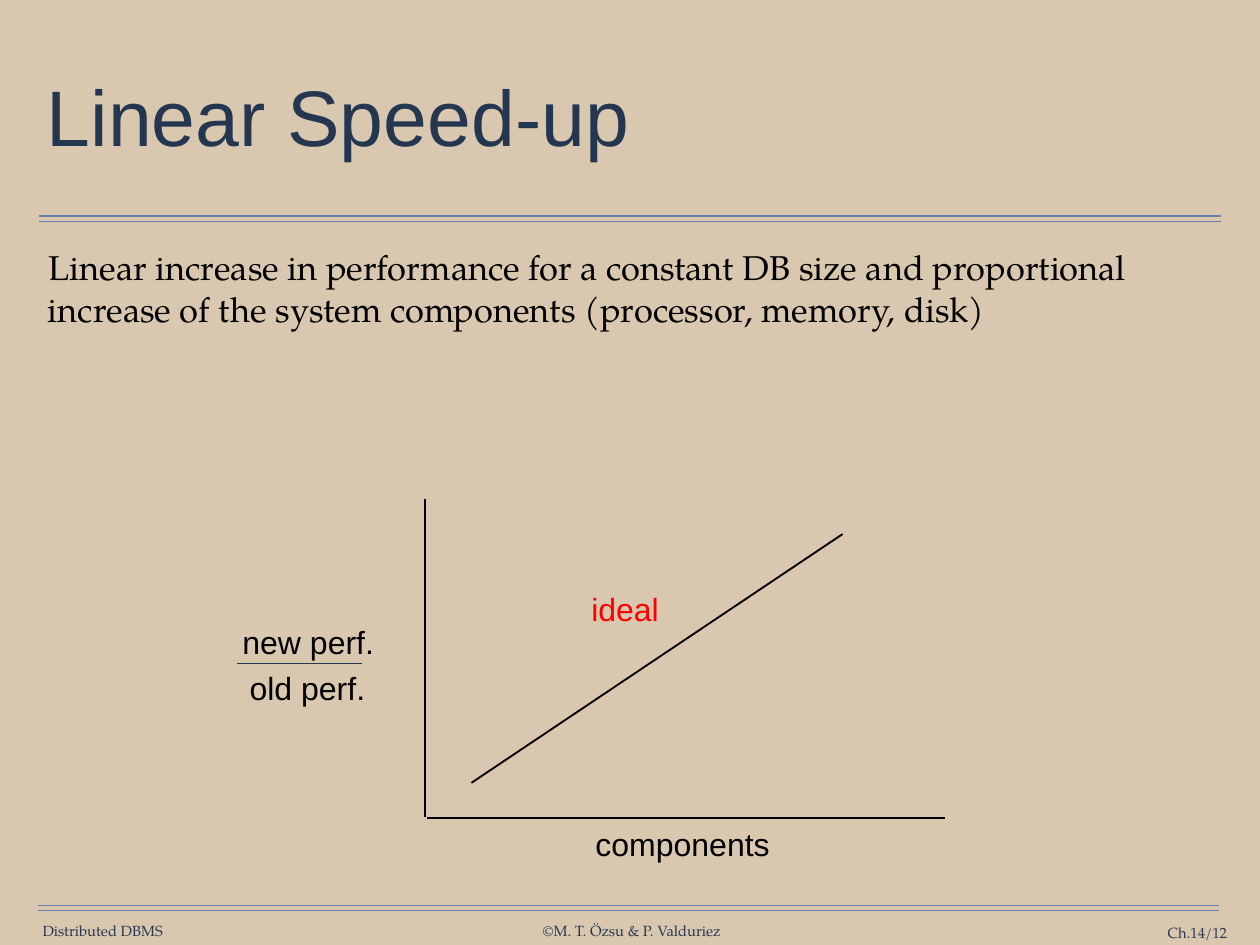
"""Build the "Linear Speed-up" slide with its ideal speed-up diagram."""
from pptx import Presentation
from pptx.dml.color import RGBColor
from pptx.enum import shapes, text
from pptx.oxml import ns, xmlchemy
from pptx.util import Inches, Pt

COLORS = {
    "background": "D9C8AF",
    "rule": "6682AA",
    "title": "253750",
    "navy": "263750",
    "black": "000000",
    "ideal": "FF0000",
}
SANS = "Arial"
SERIF = "TeX Gyre Pagella"
ALIGN = text.PP_ALIGN
ANCHOR = text.MSO_ANCHOR


def color(name):
    return RGBColor.from_string(COLORS[name])


def add_line(slide, start, end, color_name, width):
    ends = [Inches(value) for value in (*start, *end)]
    line = slide.shapes.add_connector(shapes.MSO_CONNECTOR.STRAIGHT, *ends)
    line.line.color.rgb = color(color_name)
    line.line.width = Pt(width)
    properties = line._element.spPr
    properties.append(xmlchemy.OxmlElement("a:effectLst"))


def add_text(slide, box, wording, size, font, color_name, align=ALIGN.LEFT,
             anchor=ANCHOR.TOP, insets=(0, 0), wrap=True, grow=False):
    shape = slide.shapes.add_textbox(*[Inches(value) for value in box])
    frame = shape.text_frame
    frame.text = wording
    frame.word_wrap = wrap
    frame.auto_size = (text.MSO_AUTO_SIZE.SHAPE_TO_FIT_TEXT if grow
                       else text.MSO_AUTO_SIZE.NONE)
    frame.vertical_anchor = anchor
    frame.margin_left = frame.margin_right = Inches(insets[0])
    frame.margin_top = frame.margin_bottom = Inches(insets[1])
    paragraph = frame.paragraphs[0]
    paragraph.alignment = align
    run_font = paragraph.runs[0].font
    run_font.size = Pt(size)
    run_font.name = font
    run_font.color.rgb = color(color_name)
    return paragraph


def add_double_rule(slide, left, right, top):
    for y in (top, top + 0.06):
        add_line(slide, (left, y), (right, y), "rule", 1)


def add_footer(slide, box, wording, align=ALIGN.CENTER, wrap=False):
    add_text(slide, box, wording, 12, SERIF, "navy", align, ANCHOR.MIDDLE,
             wrap=wrap, grow=True)


def add_label(slide, left, top, width, wording, color_name="black"):
    paragraph = add_text(slide, (left, top, width, 0.45), wording, 26, SANS,
                         color_name, ALIGN.CENTER, insets=(0.1, 0.04),
                         wrap=False, grow=True)
    paragraph.line_spacing = 0.85


def add_title(slide, wording):
    paragraph = add_text(slide, (0.39, 0.49, 13.44, 1.76), wording, 64, SANS,
                         "title", anchor=ANCHOR.MIDDLE, insets=(0.14, 0.06))
    paragraph.line_spacing = 0.9


def add_body(slide, wording):
    paragraph = add_text(slide, (0, 2.72, 13.44, 1.35), wording, 28, SERIF,
                         "black", insets=(0.14, 0.06))
    paragraph.space_before = Pt(12)
    properties = paragraph._p.get_or_add_pPr()
    properties.set("marL", str(Inches(0.4)))
    properties.set("indent", str(Inches(0.01)))


def add_diagram(slide):
    for start, end in (((4.8, 5.63), (4.8, 9.22)),
                       ((4.82, 9.24), (10.67, 9.24)),
                       ((5.32, 8.84), (9.51, 6.03))):
        add_line(slide, start, end, "black", 1.5)
    add_label(slide, 2.63, 7.05, 1.7, "new perf.")
    add_line(slide, (2.68, 7.49), (4.08, 7.49), "navy", 1)
    add_label(slide, 2.71, 7.57, 1.52, "old perf.")
    add_label(slide, 6.57, 6.68, 0.97, "ideal", "ideal")
    add_label(slide, 6.61, 9.34, 2.19, "components")


def main():
    presentation = Presentation()
    presentation.slide_width = Inches(14.22)
    presentation.slide_height = Inches(10.67)
    slide = presentation.slides.add_slide(presentation.slide_layouts[6])
    slide.background.fill.solid()
    slide.background.fill.fore_color.rgb = color("background")

    add_double_rule(slide, 0.44, 13.78, 2.44)
    add_double_rule(slide, 0.43, 13.76, 10.22)
    add_footer(slide, (0.47, 10.41, 1.38, 0.2), "Distributed DBMS")
    add_footer(slide, (6.11, 10.41, 2.04, 0.2), "©M. T. Özsu & P. Valduriez")
    add_footer(slide, (12.31, 10.43, 1.54, 0.2), "Ch.14/12", ALIGN.RIGHT, True)
    add_title(slide, "Linear Speed-up")
    add_body(slide, "Linear increase in performance for a constant DB size and "
                    "proportional increase of the system components "
                    "(processor, memory, disk)")
    add_diagram(slide)
    presentation.save("out.pptx")


if __name__ == "__main__":
    main()
